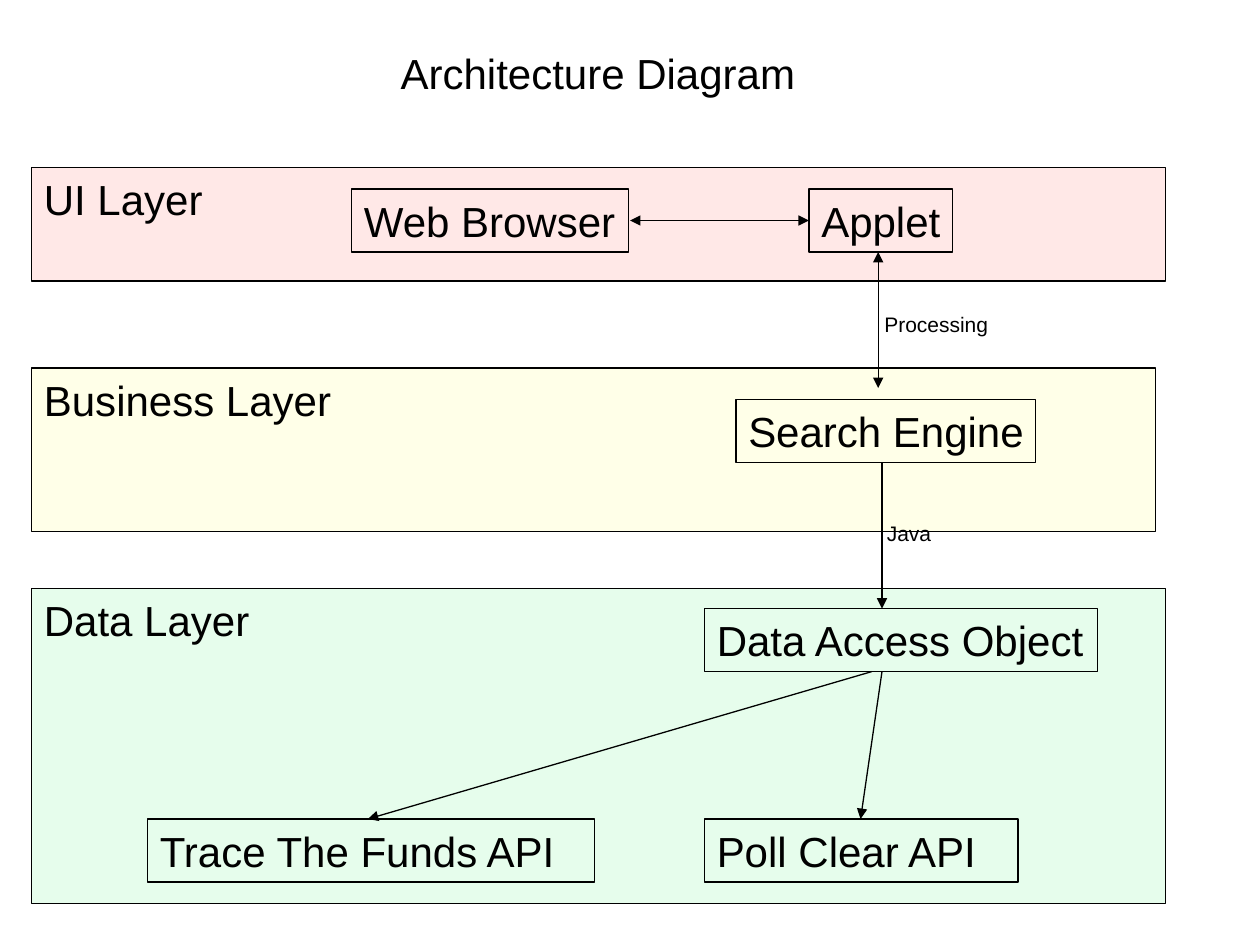
from lxml import etree
from pptx import Presentation
from pptx.dml.color import RGBColor
from pptx.enum.shapes import MSO_CONNECTOR, MSO_SHAPE
from pptx.enum.text import MSO_ANCHOR, MSO_AUTO_SIZE, PP_ALIGN
from pptx.oxml.ns import qn
from pptx.util import Inches, Pt

STRAIGHT = MSO_CONNECTOR.STRAIGHT
RECTANGLE = MSO_SHAPE.RECTANGLE
TOP = MSO_ANCHOR.TOP
NO_AUTOFIT = MSO_AUTO_SIZE.NONE
LEFT = PP_ALIGN.LEFT
TITLE_ONLY = 5

THEME = {
    "font": "Arial",
    "ink": RGBColor(0, 0, 0),
    "body_size": Pt(24),
    "label_size": Pt(12),
    "line_width": Pt(0.75),
    "layer_opacity": 10,  # percent
}

# Content: lengths in inches
TITLE = ("Architecture Diagram", 3.08, 0.33, 3.5, 0.5)
LAYER_LEFT = 0.25
LAYERS = [  # text, top, width, height, colour
    ("Data Layer", 4.67, 9, 2.5, "12F44A"),
    ("Business Layer", 2.92, 8.92, 1.3, "FFFF21"),
    ("UI Layer", 1.33, 9, 0.9, "FF1F1C"),
]
COMPONENT_HEIGHT = 0.5
COMPONENTS = [  # text, left, top, width
    ("Web Browser", 2.79, 1.5, 2.2),
    ("Applet", 6.42, 1.5, 1.14),
    ("Search Engine", 5.84, 3.17, 2.38),
    ("Data Access Object", 5.59, 4.83, 3.12),
    ("Trace The Funds API", 1.17, 6.5, 3.55),
    ("Poll Clear API", 5.59, 6.5, 2.49),
]
ARROWS = [  # start, end, both ends pointed
    ((5, 1.75), (6.42, 1.75), True),
    ((6.97, 2), (6.97, 3.08), True),
    ((7, 3.67), (7, 4.83), False),
    ((7, 5.33), (6.83, 6.5), False),
    ((6.92, 5.33), (2.92, 6.5), False),
]
LABEL_HEIGHT = 0.3
LABELS = [  # text, left, top, width
    ("Processing", 6.92, 2.42, 1.02),
    ("Java", 6.94, 4.08, 0.55),
]


def write_text(shape, text, size, wrap=False):
    frame = shape.text_frame
    frame.text = text
    frame.word_wrap = wrap
    frame.auto_size = NO_AUTOFIT
    frame.vertical_anchor = TOP
    frame.margin_left = frame.margin_right = Inches(0.1)
    frame.margin_top = frame.margin_bottom = Inches(0.05)
    para = frame.paragraphs[0]
    para.alignment = LEFT
    para.line_spacing = 1.0
    para.space_before = Pt(0)
    font = para.runs[0].font
    font.name = THEME["font"]
    font.size = size
    font.color.rgb = THEME["ink"]


def add_box(page, text, left, top, width, height, colour=None):
    box = page.shapes.add_shape(
        RECTANGLE, Inches(left), Inches(top), Inches(width), Inches(height))
    box.shadow.inherit = False
    box.line.color.rgb = THEME["ink"]
    box.line.width = THEME["line_width"]
    if colour:
        box.fill.solid()
        box.fill.fore_color.rgb = RGBColor.from_string(colour)
        tint = box.fill._xPr.find(qn("a:solidFill"))[0]
        etree.SubElement(tint, qn("a:alpha"), val=str(THEME["layer_opacity"] * 1000))
    else:
        box.fill.background()
    write_text(box, text, THEME["body_size"], wrap=bool(colour))


def add_arrow(page, start, end, two_way):
    arrow = page.shapes.add_connector(
        STRAIGHT, *(Inches(value) for value in start + end))
    arrow.line.color.rgb = THEME["ink"]
    arrow.line.width = THEME["line_width"]
    line = arrow.line._get_or_add_ln()
    for tag in ("a:headEnd", "a:tailEnd") if two_way else ("a:tailEnd",):
        etree.SubElement(line, qn(tag), type="triangle")
    etree.SubElement(line.getparent(), qn("a:effectLst"))


def main():
    deck = Presentation()
    deck.slide_width, deck.slide_height = Inches(10), Inches(7.5)
    page = deck.slides.add_slide(deck.slide_layouts[TITLE_ONLY])

    # Title
    text, *place = TITLE
    title = page.shapes.title
    title.left, title.top, title.width, title.height = map(Inches, place)
    write_text(title, text, THEME["body_size"], wrap=True)

    # Layers, then the components on them
    for text, top, width, height, colour in LAYERS:
        add_box(page, text, LAYER_LEFT, top, width, height, colour)
    for text, left, top, width in COMPONENTS:
        add_box(page, text, left, top, width, COMPONENT_HEIGHT)

    # Arrows and their labels
    for start, end, two_way in ARROWS:
        add_arrow(page, start, end, two_way)
    for text, left, top, width in LABELS:
        label = page.shapes.add_textbox(
            Inches(left), Inches(top), Inches(width), Inches(LABEL_HEIGHT))
        write_text(label, text, THEME["label_size"])

    deck.save("out.pptx")


if __name__ == "__main__":
    main()
